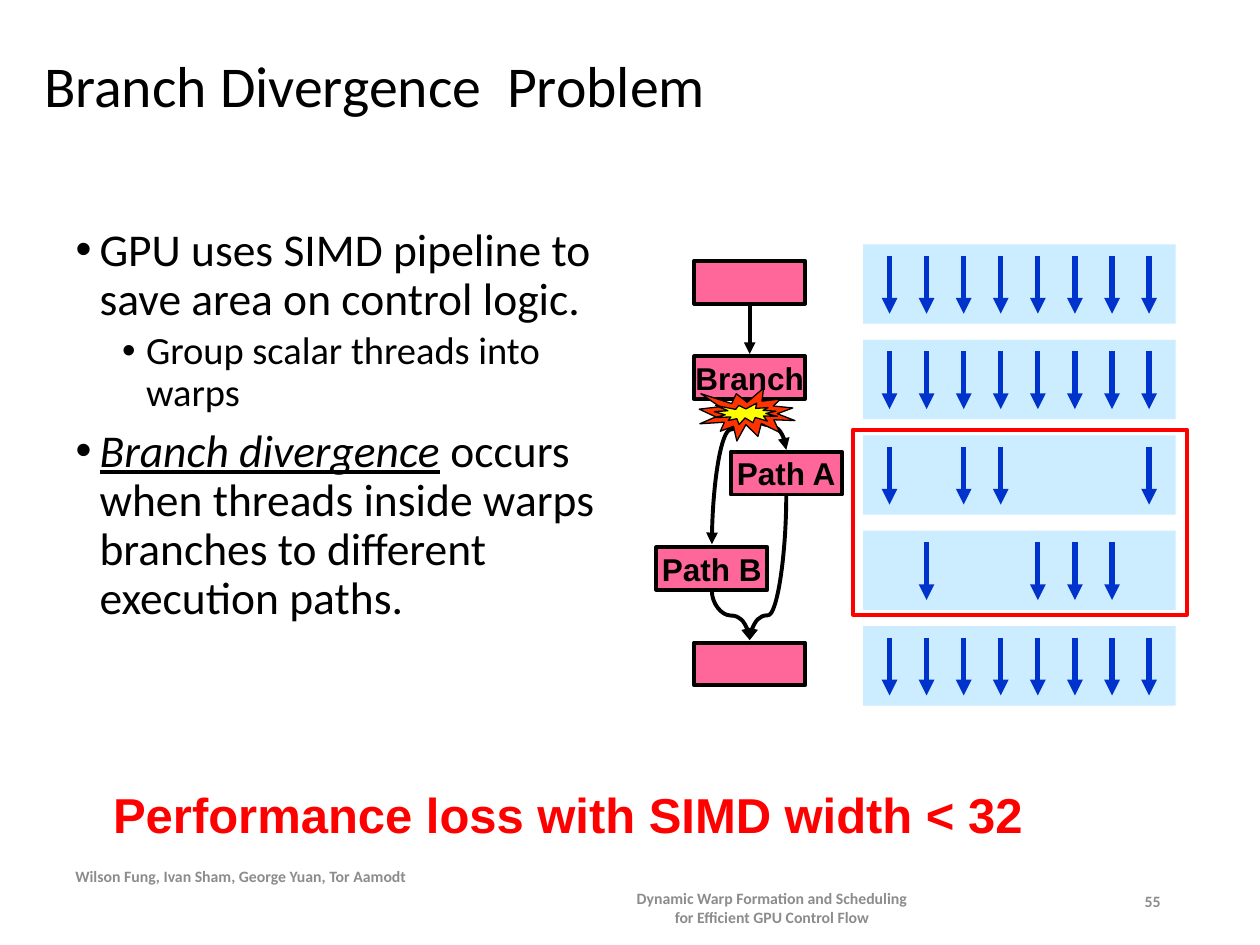
from dataclasses import dataclass

from lxml import etree
from pptx import Presentation
from pptx.dml.color import RGBColor
from pptx.enum.shapes import MSO_CONNECTOR, MSO_SHAPE
from pptx.enum.text import MSO_ANCHOR, MSO_AUTO_SIZE, PP_ALIGN
from pptx.oxml.ns import qn
from pptx.util import Inches, Pt

RECT, BURST = MSO_SHAPE.RECTANGLE, MSO_SHAPE.EXPLOSION1
LINE, CURVE = MSO_CONNECTOR.STRAIGHT, MSO_CONNECTOR.CURVE
LEFT, MID, RIGHT = PP_ALIGN.LEFT, PP_ALIGN.CENTER, PP_ALIGN.RIGHT
CENTER = MSO_ANCHOR.MIDDLE
FIXED = MSO_AUTO_SIZE.NONE

BLACK = RGBColor(0x00, 0x00, 0x00)
GRAY = RGBColor(0x8C, 0x8C, 0x8C)
RED = RGBColor(0xFF, 0x00, 0x00)
BLUE = RGBColor(0x00, 0x33, 0xCC)
PALE = RGBColor(0xCC, 0xEC, 0xFF)
PINK = RGBColor(0xFF, 0x66, 0x99)
ORANGE = RGBColor(0xFF, 0x33, 0x00)
YELLOW = RGBColor(0xFF, 0xFF, 0x00)

ROW = 3.03 / 4
LANE = 2.06 / 7


@dataclass(frozen=True)
class Box:
    left: float
    top: float
    width: float
    height: float

    def inches(self) -> list:
        return [Inches(v) for v in (self.left, self.top, self.width, self.height)]


@dataclass(frozen=True)
class Node:
    left: float
    text: str = ""


@dataclass(frozen=True)
class Bend:
    x1: float
    y1: float
    x2: float
    y2: float
    turn: int


@dataclass(frozen=True)
class Item:
    texts: tuple
    level: int
    size: int
    before: float


@dataclass(frozen=True)
class Note:
    box: Box
    lines: tuple
    align: PP_ALIGN


NODES = [Node(5.51), Node(5.51, "Branch"), Node(5.8, "Path A"),
         Node(5.21, "Path B"), Node(5.51)]
BENDS = [Bend(5.95, 3.18, 5.65, 4.32, 20100), Bend(5.95, 3.18, 6.24, 3.57, 49800),
         Bend(6.24, 3.93, 5.95, 5.08, 82900), Bend(5.65, 4.69, 5.95, 5.08, 50000)]
FULL = range(8)
WARPS = [FULL, FULL, (0, 2, 3, 7), (1, 4, 5, 6), FULL]
ITEMS = [
    Item(("GPU uses SIMD pipeline to save area on control logic.",), 0, 26, 0),
    Item(("Group scalar threads into warps",), 1, 22, 3.8),
    Item(("Branch divergence", " occurs when threads inside warps branches to "
          "different execution paths."), 0, 26, 7.5),
]
NOTES = [
    Note(Box(0.5, 6.83, 3, 0.25),
         ("Wilson Fung, Ivan Sham, George Yuan, Tor Aamodt",), LEFT),
    Note(Box(3.42, 6.83, 5.41, 0.75),
         ("Dynamic Warp Formation and Scheduling",
          "for Efficient GPU Control Flow"), MID),
    Note(Box(7.06, 6.95, 2.25, 0.4), ("55",), RIGHT),
]


def place(shape, box: Box) -> None:
    shape.left, shape.top, shape.width, shape.height = box.inches()


def style(font, name: str, size: float, color: RGBColor, bold: bool = False) -> None:
    font.name, font.size, font.bold = name, Pt(size), bold
    font.color.rgb = color


def add_box(shapes, box: Box, fill=None, line=None, width: float = 2.25, kind=RECT):
    shape = shapes.add_shape(kind, *box.inches())
    shape.shadow.inherit = False
    if fill is None:
        shape.fill.background()
    else:
        shape.fill.solid()
        shape.fill.fore_color.rgb = fill
    if line is None:
        shape.line.fill.background()
    else:
        shape.line.color.rgb = line
        shape.line.width = Pt(width)
    return shape


def add_arrow(shapes, x1: float, y1: float, x2: float, y2: float,
              color: RGBColor, width: float, kind=LINE):
    arrow = shapes.add_connector(kind, Inches(x1), Inches(y1), Inches(x2), Inches(y2))
    arrow.line.color.rgb = color
    arrow.line.width = Pt(width)
    props = arrow._element.spPr
    etree.SubElement(props.find(qn("a:ln")), qn("a:tailEnd"), type="triangle")
    etree.SubElement(props, qn("a:effectLst"))
    return arrow


def add_bend(shapes, bend: Bend) -> None:
    mid_x, mid_y = (bend.x1 + bend.x2) / 2, (bend.y1 + bend.y2) / 2
    long, wide = (bend.y2 - bend.y1) / 2, abs(bend.x2 - bend.x1) / 2
    right = bend.x2 > bend.x1
    side = -long if right else long
    arrow = add_arrow(shapes, mid_x - side, mid_y - wide, mid_x + side, mid_y + wide,
                      BLACK, 2.25, CURVE)
    props = arrow._element.spPr
    props.find(qn("a:xfrm")).set("rot", str((270 if right else 90) * 60000))
    guides = props.find(qn("a:prstGeom")).find(qn("a:avLst"))
    etree.SubElement(guides, qn("a:gd"), name="adj1", fmla=f"val {bend.turn}")


def add_warp(shapes, row: int, lanes) -> None:
    group = shapes.add_group_shape().shapes
    top = 1.94 + row * ROW
    add_box(group, Box(6.85, top, 2.48, 0.63), PALE)
    for lane in lanes:
        x = 7.06 + lane * LANE
        add_arrow(group, x, top + 0.09, x, top + 0.55, BLUE, 3)


def add_node(shapes, row: int, node: Node) -> None:
    shape = add_box(shapes, Box(node.left, 2.07 + row * ROW, 0.88, 0.34), PINK, BLACK)
    if node.text:
        frame = shape.text_frame
        frame.text = node.text
        frame.word_wrap = False
        frame.vertical_anchor = CENTER
        para = frame.paragraphs[0]
        para.alignment = MID
        style(para.runs[0].font, "Arial", 18, BLACK, True)


def add_note(shapes, note: Note) -> None:
    frame = shapes.add_textbox(*note.box.inches()).text_frame
    frame.word_wrap = True
    frame.vertical_anchor = CENTER
    frame.text = "\n".join(note.lines)
    for para in frame.paragraphs:
        para.alignment = note.align
        style(para.runs[0].font, "Calibri", 9, GRAY, True)


def fill_title(title) -> None:
    place(title, Box(0.25, 0.08, 8, 1.25))
    frame = title.text_frame
    frame.text = "Branch Divergence  Problem"
    frame.vertical_anchor = CENTER
    frame.auto_size = FIXED
    para = frame.paragraphs[0]
    para.alignment, para.line_spacing = LEFT, 0.9
    style(para.runs[0].font, "Calibri", 33, BLACK)


def fill_body(body) -> None:
    place(body, Box(0.5, 1.75, 4.42, 5.17))
    frame = body.text_frame
    frame.text = "\n".join("".join(item.texts) for item in ITEMS)
    frame.auto_size = FIXED
    for para, item in zip(frame.paragraphs, ITEMS):
        para.level = item.level
        para.line_spacing, para.space_before = 0.9, Pt(item.before)
        props = para._p.get_or_add_pPr()
        props.set("marL", str(Inches(0.19 + 0.37 * item.level)))
        props.set("indent", str(Inches(-0.19)))
        etree.SubElement(props, qn("a:buFont"), typeface="Arial")
        etree.SubElement(props, qn("a:buChar"), char="•")
        para.runs[0].text = item.texts[0]
        for text in item.texts[1:]:
            para.add_run().text = text
        for run in para.runs:
            style(run.font, "Calibri", item.size, BLACK)
    term = frame.paragraphs[2].runs[0].font
    term.italic = term.underline = True


def main() -> None:
    deck = Presentation()
    deck.slide_width, deck.slide_height = Inches(10), Inches(7.5)
    slide = deck.slides.add_slide(deck.slide_layouts[1])
    shapes = slide.shapes
    fill_title(shapes.title)
    fill_body(slide.placeholders[1])
    for note in NOTES:
        add_note(shapes, note)
    for row, lanes in enumerate(WARPS):
        add_warp(shapes, row, lanes)
    add_box(shapes, Box(6.77, 3.41, 2.65, 1.47), line=RED)
    add_arrow(shapes, 5.95, 2.42, 5.95, 2.81, BLACK, 2.25)
    for bend in BENDS:
        add_bend(shapes, bend)
    for row, node in enumerate(NODES):
        add_node(shapes, row, node)
    burst = shapes.add_group_shape().shapes
    add_box(burst, Box(5.55, 3.08, 0.76, 0.42), ORANGE, BLACK, 0.75, BURST)
    add_box(burst, Box(5.67, 3.2, 0.5, 0.17), YELLOW, BLACK, 0.75, BURST)
    frame = shapes.add_textbox(*Box(0.8, 6.18, 7.5, 0.57).inches()).text_frame
    frame.text = "Performance loss with SIMD width < 32"
    frame.word_wrap = False
    style(frame.paragraphs[0].runs[0].font, "Arial", 28, RED, True)
    deck.save("out.pptx")


if __name__ == "__main__":
    main()
